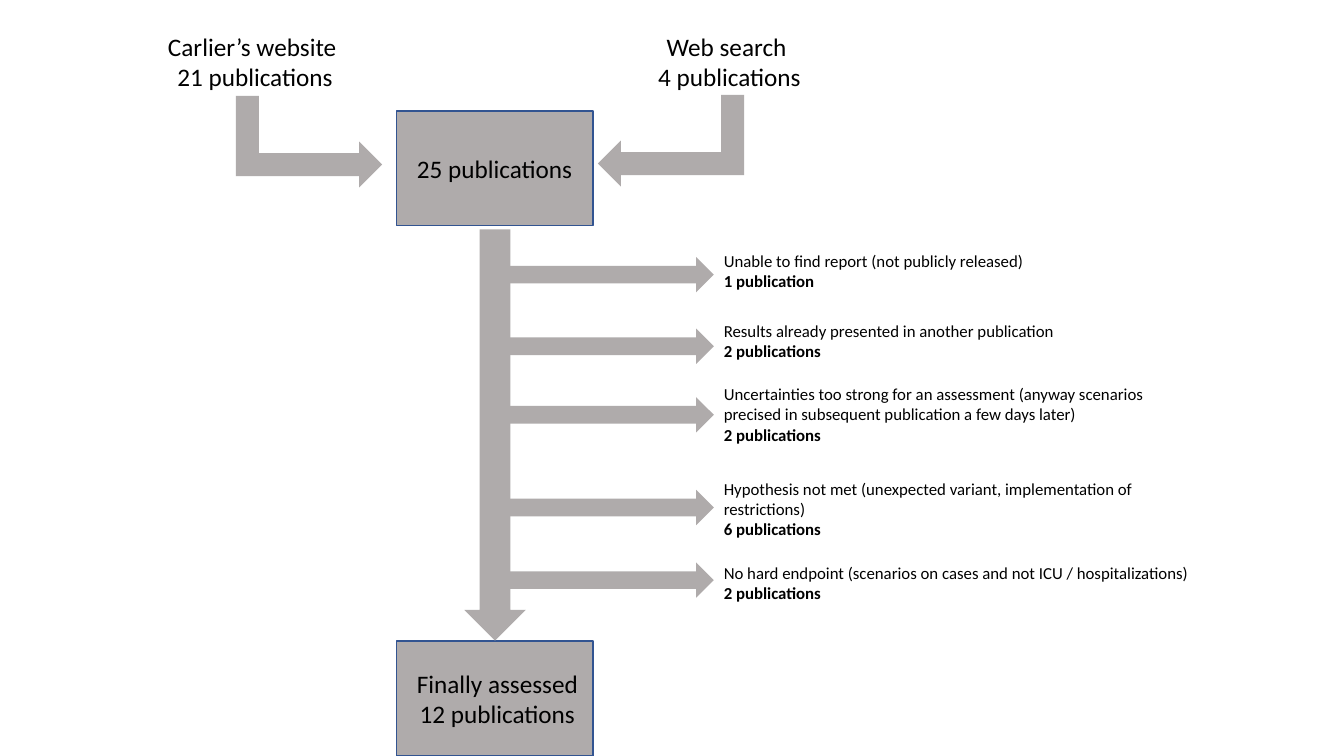
from pptx import Presentation
from pptx.dml.color import RGBColor
from pptx.enum.shapes import MSO_SHAPE
from pptx.enum.text import MSO_ANCHOR, MSO_AUTO_SIZE, PP_ALIGN
from pptx.util import Inches, Pt

COLORS = {"fill": "AFABAB", "edge": "325491", "text": "000000"}
FONT = "Calibri"

# Sources: left, width, lines
SOURCES = [
    (1.51, 2.04, ["Carlier’s website ", "21 publications"]),
    (6.42, 1.63, ["Web search ", "4 publications"]),
]
# Boxes: top, lines
BOXES = [
    (1.1, ["25 publications"]),
    (6.36, [" Finally assessed", " 12 publications"]),
]
# Exclusions: arrow top, text top, text height, reason, count
DROPS = [
    (2.55, 2.44, 0.5, "Unable to find report (not publicly released)",
     "1 publication"),
    (3.26, 3.13, 0.5, "Results already presented in another publication",
     "2 publications"),
    (3.94, 3.76, 0.71, "Uncertainties too strong for an assessment (anyway "
     "scenarios precised in subsequent publication a few days later)",
     "2 publications"),
    (4.86, 4.7, 0.71, "Hypothesis not met (unexpected variant, "
     "implementation of restrictions)", "6 publications"),
    (5.58, 5.53, 0.5, "No hard endpoint (scenarios on cases and not ICU / "
     "hospitalizations)", "2 publications"),
]


def color(name):
    return RGBColor.from_string(COLORS[name])


def write(shape, lines, size, align):
    frame = shape.text_frame
    frame.text = "\n".join(lines)
    for para in frame.paragraphs:
        para.alignment = align
        for run in para.runs:
            run.font.name = FONT
            run.font.size = Pt(size)
            run.font.color.rgb = color("text")
    return frame


def add_label(slide, at, lines, size, align, wrap):
    label = slide.shapes.add_textbox(*map(Inches, at))
    frame = write(label, lines, size, align)
    frame.word_wrap = wrap
    frame.auto_size = MSO_AUTO_SIZE.SHAPE_TO_FIT_TEXT
    return frame


def add_shape(slide, kind, at):
    shape = slide.shapes.add_shape(kind, *map(Inches, at))
    shape.shadow.inherit = False
    shape.fill.solid()
    shape.fill.fore_color.rgb = color("fill")
    shape.line.fill.background()
    return shape


def add_box(slide, top, lines):
    box = add_shape(slide, MSO_SHAPE.RECTANGLE, (3.93, top, 1.95, 1.14))
    box.line.color.rgb = color("edge")
    box.line.width = Pt(1)
    frame = write(box, lines, 18, PP_ALIGN.CENTER)
    frame.vertical_anchor = MSO_ANCHOR.MIDDLE


def add_bend(slide, left, top, flip=False):
    bend = add_shape(slide, MSO_SHAPE.BENT_UP_ARROW, (left, top, 0.91, 1.45))
    bend.rotation = 90
    if flip:
        bend.element.spPr.xfrm.set("flipV", "1")


def add_drop(slide, arrow, top, height, reason, count):
    add_shape(slide, MSO_SHAPE.RIGHT_ARROW, (4.78, arrow, 2.3, 0.35))
    frame = add_label(slide, (7.08, top, 4.85, height), [reason, count],
                      12, PP_ALIGN.LEFT, True)
    frame.paragraphs[1].runs[0].font.bold = True


def main():
    deck = Presentation()
    deck.slide_width = Inches(13.33)
    deck.slide_height = Inches(7.5)
    slide = deck.slides.add_slide(deck.slide_layouts[6])

    # Sources and the arrows that merge them
    for left, width, lines in SOURCES:
        add_label(slide, (left, 0.26, width, 0.71), lines, 18,
                  PP_ALIGN.CENTER, False)
    add_bend(slide, 2.61, 0.68)
    add_bend(slide, 6.2, 0.67, flip=True)

    # Start and end boxes with the main arrow
    for top, lines in BOXES:
        add_box(slide, top, lines)
    trunk = add_shape(slide, MSO_SHAPE.RIGHT_ARROW, (2.87, 4.01, 4.08, 0.61))
    trunk.rotation = 90

    # Excluded publications
    for drop in DROPS:
        add_drop(slide, *drop)

    deck.save("out.pptx")


if __name__ == "__main__":
    main()
